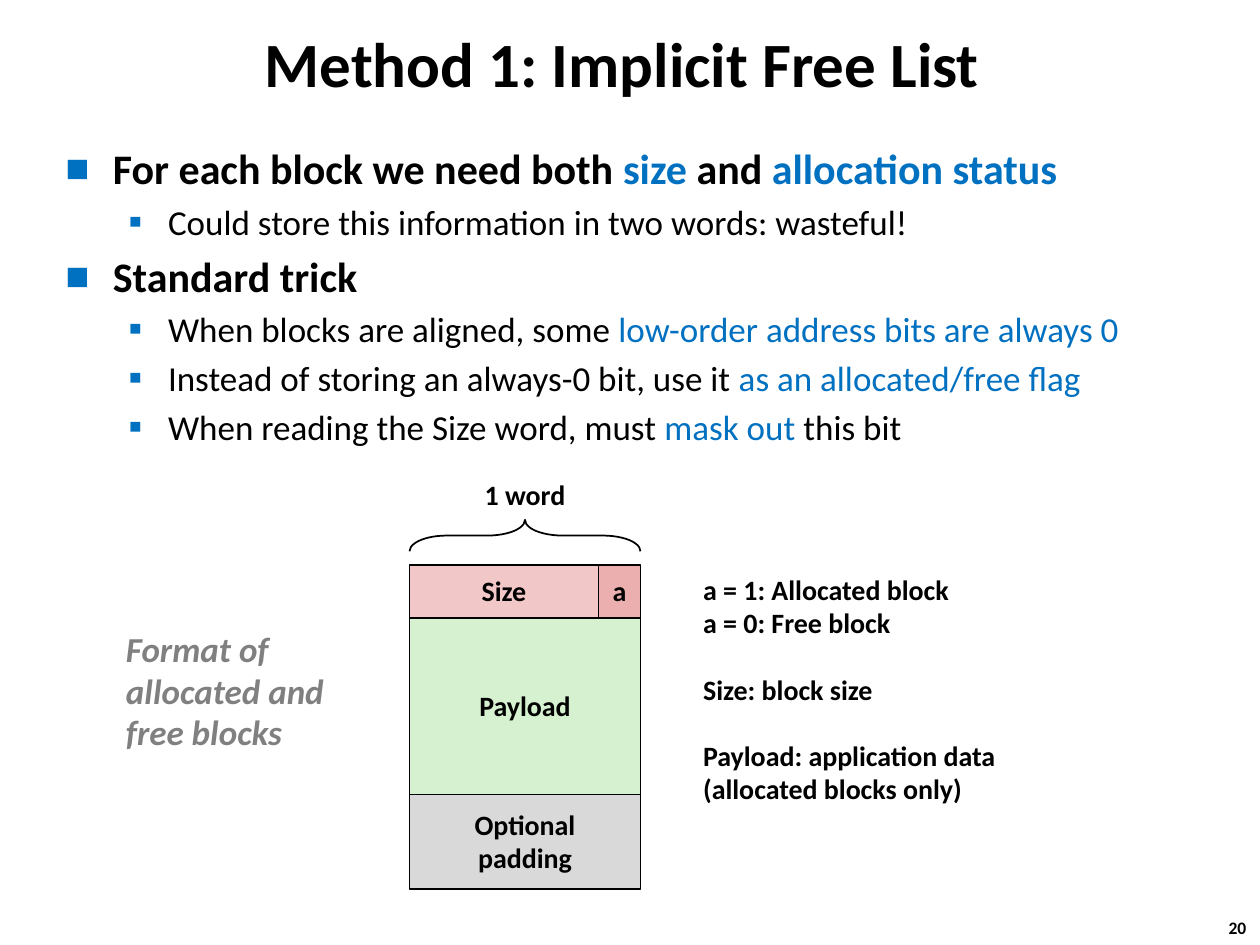
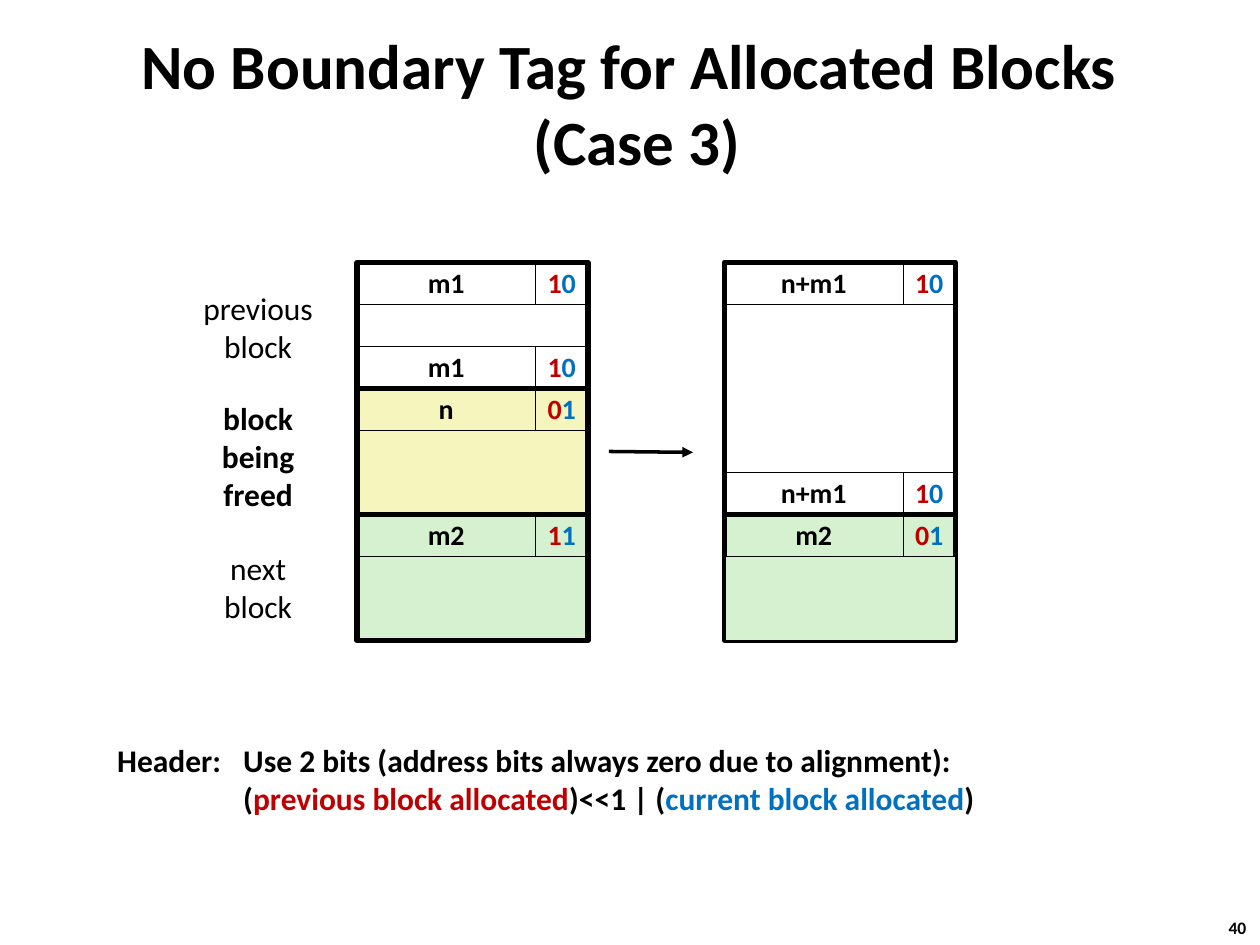
import collections
import dataclasses
import pptx
import pptx.dml.color
import pptx.enum.shapes
import pptx.enum.text
import pptx.oxml
import pptx.oxml.ns
import pptx.util

Pt = pptx.util.Pt
Align = pptx.enum.text.PP_ALIGN
Anchor = pptx.enum.text.MSO_ANCHOR
Shape = pptx.enum.shapes.MSO_SHAPE
Box = collections.namedtuple("Box", "x y w h")


@dataclasses.dataclass(frozen=True)
class Theme:
    font: str = "Calibri"
    black: str = "000000"
    white: str = "FFFFFF"
    blue: str = "0070C0"
    red: str = "C00000"
    gray: str = "808080"
    pink: str = "F1C7C7"
    rose: str = "EBAFAF"
    green: str = "D5F1CF"
    yellow: str = "F6F5BD"
    silver: str = "D9D9D9"
    title: int = 36
    head: int = 24
    item: int = 20
    label: int = 18
    cell: int = 16
    page: int = 10
    tight: float = 0.98


T = Theme()


def tint(code):
    return pptx.dml.color.RGBColor.from_string(code)


def put(shape, box):
    shape.left, shape.top, shape.width, shape.height = map(Pt, box)


def add_xml(parent, tag, **attrs):
    node = pptx.oxml.parse_xml(f"<a:{tag} {pptx.oxml.ns.nsdecls('a')}/>")
    for key, value in attrs.items():
        node.set(key, str(value))
    parent.append(node)
    return node


def prep(frame, anchor=Anchor.TOP):
    frame.word_wrap = True
    frame.auto_size = pptx.enum.text.MSO_AUTO_SIZE.NONE
    frame.vertical_anchor = anchor
    frame.margin_left = frame.margin_right = 0
    frame.margin_top = frame.margin_bottom = 0


def add_runs(para, parts, size, color=T.black, bold=True, slant=False):
    for part in parts:
        text, shade = part if isinstance(part, tuple) else (part, color)
        for i, line in enumerate(text.split("\n")):
            if i:
                para.add_line_break()
            if line:
                run = para.add_run()
                run.text = line
                font = run.font
                font.name, font.size = T.font, Pt(size)
                font.bold, font.italic = bold, slant
                font.color.rgb = tint(shade)


def write(frame, paras, size, align=Align.LEFT, space=1.0, gaps=(), **style):
    for i, parts in enumerate(paras):
        para = frame.add_paragraph() if i else frame.paragraphs[0]
        para.alignment = align
        para.line_spacing = space
        para.space_before = Pt(size * 1.2 if i in gaps else 0)
        add_runs(para, parts, size, **style)


def add_note(slide, box, paras, size, **style):
    note = slide.shapes.add_textbox(*map(Pt, box))
    prep(note.text_frame)
    write(note.text_frame, paras, size, **style)
    return note


def add_cell(slide, box, fill=None, paras=(), line=0.25, kind=Shape.RECTANGLE):
    cell = slide.shapes.add_shape(kind, *map(Pt, box))
    cell.shadow.inherit = False
    if fill:
        cell.fill.solid()
        cell.fill.fore_color.rgb = tint(fill)
    else:
        cell.fill.background()
    cell.line.color.rgb = tint(T.black)
    cell.line.width = Pt(line)
    if paras:
        prep(cell.text_frame, Anchor.MIDDLE)
        write(cell.text_frame, paras, T.cell, Align.CENTER, T.tight)
    return cell


def add_page(deck, layout, title, box, number):
    slide = deck.slides.add_slide(deck.slide_layouts[layout])
    head = slide.shapes.title
    put(head, box)
    prep(head.text_frame, Anchor.MIDDLE)
    write(head.text_frame, [[title]], T.title, Align.CENTER)
    props = head.text_frame.paragraphs[0]._p.get_or_add_pPr()
    props.set("marL", str(Pt(9)))
    props.set("indent", str(Pt(-9)))
    add_note(slide, Box(702, 524, 18, 13), [[number]], T.page)
    return slide


def add_list(slide, box, items):
    body = slide.placeholders[1]
    put(body, box)
    frame = body.text_frame
    prep(frame)
    looks = [(T.head, 27, -27, "■", 60), (T.item, 58.5, -22.5, "▪", 110)]
    for i, (level, parts) in enumerate(items):
        size, left, hang, mark, scale = looks[level]
        para = frame.add_paragraph() if i else frame.paragraphs[0]
        para.level = level
        props = para._p.get_or_add_pPr()
        props.set("marL", str(Pt(left)))
        props.set("indent", str(Pt(hang)))
        add_xml(add_xml(props, "buClr"), "srgbClr", val=T.blue)
        add_xml(props, "buSzPct", val=scale * 1000)
        add_xml(props, "buFont", typeface=T.font)
        add_xml(props, "buChar", char=mark)
        para.space_before = Pt(size * 0.2 if i else 0)
        add_runs(para, parts, size, bold=level == 0)


def draw_format(slide, box):
    x, y, w, h = box
    flag, top, pad = 24, 30, 54
    mid = h - top - pad
    parts = [
        (Box(x, y, w - flag, top), T.pink, [["Size"]]),
        (Box(x + w - flag, y, flag, top), T.rose, [["a"]]),
        (Box(x, y + top, w, mid), T.green, [["Payload"]]),
        (Box(x, y + h - pad, w, pad), T.silver, [["Optional"], ["padding"]]),
    ]
    for area, fill, paras in parts:
        add_cell(slide, area, fill, paras, line=1)
    deep = 18
    area = Box(x + (w - deep) / 2, y - 17 - w / 2, deep, w)
    brace = add_cell(slide, area, line=1, kind=Shape.RIGHT_BRACE)
    brace.adjustments[0] = 1.188
    brace.rotation = 270
    add_note(slide, Box(x, y - 49.4, w, 20), [["1 word"]], T.cell,
             align=Align.CENTER, space=T.tight)
    add_note(slide, Box(x - 162, y + 37, 130, 72),
             [["Format of"], ["allocated and"], ["free blocks"]], T.item,
             space=T.tight, color=T.gray, slant=True)
    add_note(slide, Box(x + 167.8, y + 5.3, 200, 134),
             [["a = 1: Allocated block"], ["a = 0: Free block"],
              ["Size: block size"], ["Payload: application data"],
              ["(allocated blocks only)"]], T.cell, space=T.tight, gaps=(2, 3))


def draw_block(slide, box, fill, rows):
    x, y, w, h = box
    tag = 30
    for high, name, bits in rows:
        if name:
            add_cell(slide, Box(x, y, w - tag, high), fill, [[name]])
            pair = [(bits[0], T.red), (bits[1], T.blue)]
            add_cell(slide, Box(x + w - tag, y, tag, high), fill, [pair])
        else:
            add_cell(slide, Box(x, y, w, high), fill)
        y += high
    add_cell(slide, box, line=3)


def draw_merge(slide, box):
    x, y, w, h = box
    row, wide = h / 9, 132
    size = 3 * row
    right = x + w - wide
    stack = [
        (T.white, [(row, "m1", "10"), (row, "", ""), (row, "m1", "10")]),
        (T.yellow, [(row, "n", "01"), (2 * row, "", "")]),
        (T.green, [(row, "m2", "11"), (2 * row, "", "")]),
    ]
    for i, (fill, rows) in enumerate(stack):
        draw_block(slide, Box(x, y + i * size, wide, size), fill, rows)
    draw_block(slide, Box(right, y + 2 * size, wide, size), T.green,
               [(row, "m2", "01")])
    draw_block(slide, Box(right, y, wide, 2 * size), T.white,
               [(row, "n+m1", "10"), (4 * row, "", ""), (row, "n+m1", "10")])
    add_cell(slide, Box(right + 0.7, y + 7 * row, wide - 0.7, 2 * row), T.green)

    labels = [("previous\nblock", 15, False),
              ("block\nbeing\nfreed", 78.2, True), ("next\nblock", 164, False)]
    for text, drop, bold in labels:
        add_note(slide, Box(x - 96, y + drop, 79, 66), [[text]], T.label,
                 align=Align.CENTER, bold=bold)

    ends = (x + wide + 12, y + 108, right - 18, y + 108.5)
    arrow = slide.shapes.add_connector(
        pptx.enum.shapes.MSO_CONNECTOR.STRAIGHT, *map(Pt, ends))
    arrow.line.color.rgb = tint(T.black)
    arrow.line.width = Pt(2)
    add_xml(arrow.line._get_or_add_ln(), "tailEnd", type="triangle")
    add_xml(arrow._element.spPr, "effectLst")


def add_header(slide, box):
    note = slide.shapes.add_textbox(*map(Pt, box))
    prep(note.text_frame)
    props = note.text_frame.paragraphs[0]._p.get_or_add_pPr()
    add_xml(add_xml(props, "tabLst"), "tab", pos=Pt(72), algn="l")
    write(note.text_frame, [[
        "Header: \tUse 2 bits (address bits always zero due to alignment):\n\t(",
        ("previous block allocated", T.red), ")<<1 | (",
        ("current block allocated", T.blue), ")"]], T.label)


def main():
    deck = pptx.Presentation()
    deck.slide_width, deck.slide_height = Pt(720), Pt(540)

    slide = add_page(deck, 1, "Method 1: Implicit Free List",
                     Box(96, 13, 519, 45), "20")
    add_list(slide, Box(37.5, 81.5, 636, 186), [
        (0, ["For each block we need both ", ("size", T.blue), " and ",
             ("allocation status", T.blue)]),
        (1, ["Could store this information in two words: wasteful!"]),
        (0, ["Standard trick"]),
        (1, ["When blocks are aligned, some ",
             ("low-order address bits are always 0", T.blue)]),
        (1, ["Instead of storing an always-0 bit, use it ",
             ("as an allocated/free flag", T.blue)]),
        (1, ["When reading the Size word, must ", ("mask out ", T.blue),
             "this bit"]),
    ])
    draw_format(slide, Box(234, 323, 132, 185))

    slide = add_page(deck, 5, "No Boundary Tag for Allocated Blocks\n(Case 3)",
                     Box(11.5, 36, 696, 45), "40")
    draw_merge(slide, Box(204, 150, 342, 216))
    add_header(slide, Box(67, 423.4, 520, 44))
    deck.save("out.pptx")


if __name__ == "__main__":
    main()
